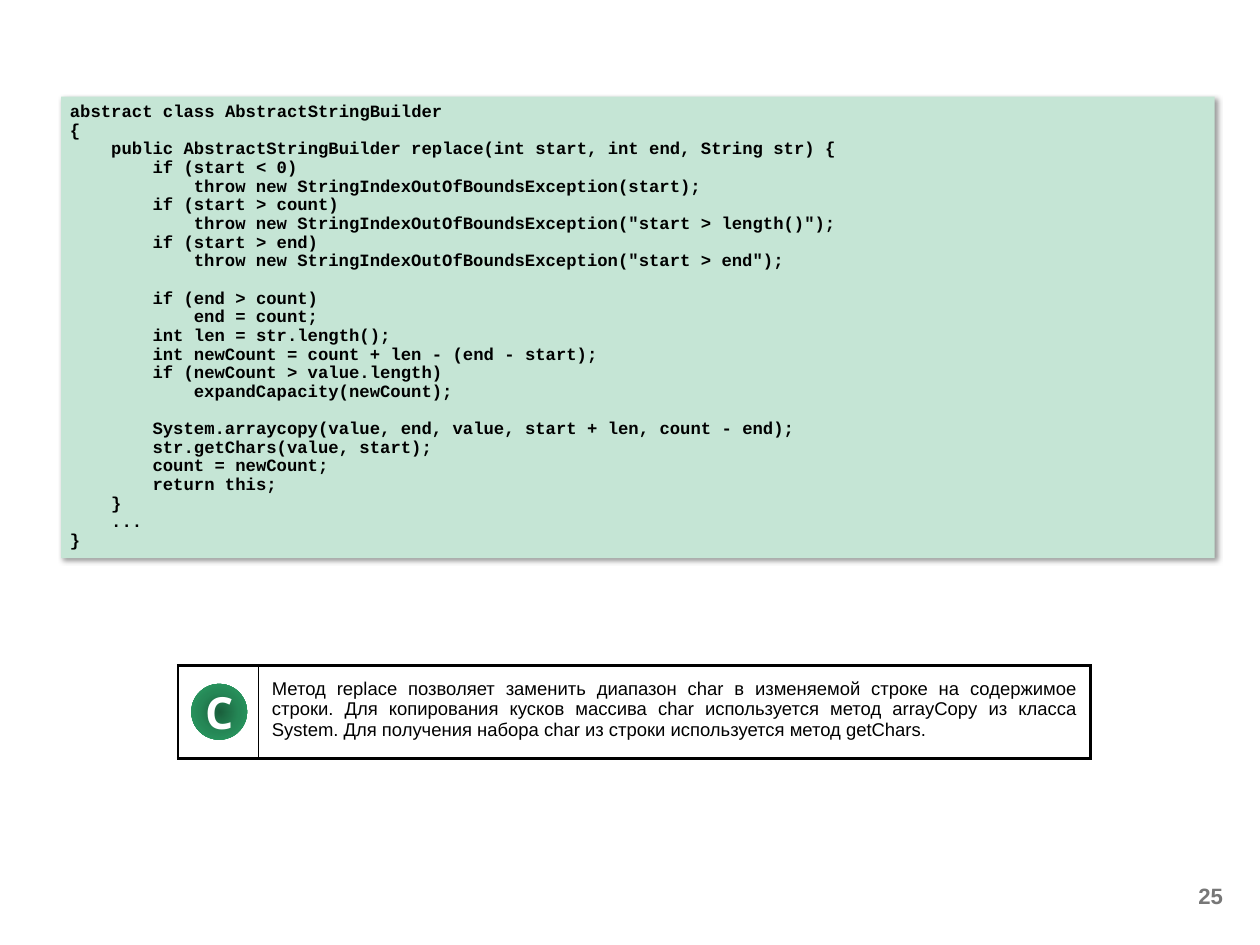
from lxml.etree import SubElement
from pptx import Presentation
from pptx.dml.color import RGBColor
from pptx.enum.shapes import MSO_SHAPE
from pptx.enum.text import MSO_ANCHOR, PP_ALIGN
from pptx.oxml import parse_xml
from pptx.oxml.ns import nsdecls, qn
from pptx.util import Pt

CODE = """abstract class AbstractStringBuilder
{
    public AbstractStringBuilder replace(int start, int end, String str) {
        if (start < 0)
            throw new StringIndexOutOfBoundsException(start);
        if (start > count)
            throw new StringIndexOutOfBoundsException("start > length()");
        if (start > end)
            throw new StringIndexOutOfBoundsException("start > end");

        if (end > count)
            end = count;
        int len = str.length();
        int newCount = count + len - (end - start);
        if (newCount > value.length)
            expandCapacity(newCount);

        System.arraycopy(value, end, value, start + len, count - end);
        str.getChars(value, start);
        count = newCount;
        return this;
    }
    ...
}"""
NOTE = (
    "Метод replace позволяет заменить диапазон char в изменяемой строке на "
    "содержимое строки. Для копирования кусков массива char используется метод "
    "arrayCopy из класса System. Для получения набора char из строки "
    "используется метод getChars."
)
CODE_SIZE = 14
CODE_LINE = 15.16
CHAR_WIDTH = 0.6 * CODE_SIZE
BADGE_STOPS = ((0, "1A5F3C"), (50, "258756"), (100, "2BA166"))


def color(hex_code):
    return RGBColor.from_string(hex_code)


def add_run(paragraph, text, font, size, hex_code="000000", bold=False):
    run = paragraph.add_run()
    run.text = text
    run.font.name = font
    run.font.size = Pt(size)
    run.font.bold = bold
    run.font.color.rgb = color(hex_code)


def set_margins(holder, side, top):
    holder.margin_left = holder.margin_right = Pt(side)
    holder.margin_top = holder.margin_bottom = Pt(top)


def add_plain_shape(slide, kind, left, top, width, height):
    shape = slide.shapes.add_shape(kind, Pt(left), Pt(top), Pt(width), Pt(height))
    shape.shadow.inherit = False
    shape.line.fill.background()
    return shape


def cast_shadow(panel):
    effects = panel._element.spPr.find(qn("a:effectLst"))
    shadow = SubElement(
        effects, qn("a:outerShdw"), blurRad=str(Pt(4)), dist=str(Pt(3)),
        dir=str(45 * 60000), algn="tl", rotWithShape="0")
    black = SubElement(shadow, qn("a:srgbClr"), val="000000")
    SubElement(black, qn("a:alpha"), val="40000")


def add_code_panel(slide, left, top, width, height):
    """Leading spaces become indents, empty lines become space before."""
    panel = add_plain_shape(slide, MSO_SHAPE.RECTANGLE, left, top, width, height)
    panel.fill.solid()
    panel.fill.fore_color.rgb = color("C5E5D5")
    cast_shadow(panel)
    frame = panel.text_frame
    frame.word_wrap = True
    frame.vertical_anchor = MSO_ANCHOR.TOP
    set_margins(frame, 7.2, 4.6)
    gap = 0
    paragraph = frame.paragraphs[0]
    for number, line in enumerate(CODE.splitlines()):
        statement = line.lstrip()
        if not statement:
            gap += CODE_LINE
            continue
        if number:
            paragraph = frame.add_paragraph()
        paragraph.alignment = PP_ALIGN.LEFT
        paragraph.line_spacing = Pt(CODE_LINE)
        paragraph.space_before = Pt(gap)
        indent = Pt(CHAR_WIDTH * (len(line) - len(statement)))
        properties = paragraph._p.get_or_add_pPr()
        properties.set("marL", str(indent))
        properties.set("indent", "0")
        add_run(paragraph, statement, "Courier New", CODE_SIZE, bold=True)
        gap = 0


def set_borders(cell, left, right, top, bottom):
    properties = cell._tc.get_or_add_tcPr()
    widths = {"lnL": left, "lnR": right, "lnT": top, "lnB": bottom}
    for position, (side, width) in enumerate(widths.items()):
        properties.insert(position, parse_xml(
            f'<a:{side} {nsdecls("a")} w="{Pt(width)}"><a:solidFill>'
            f'<a:srgbClr val="000000"/></a:solidFill></a:{side}>'))


def add_badge(slide, left, top, diameter):
    badge = add_plain_shape(slide, MSO_SHAPE.OVAL, left, top, diameter, diameter)
    badge.fill.background()
    stops = "".join(
        f'<a:gs pos="{position * 1000}"><a:srgbClr val="{shade}"/></a:gs>'
        for position, shade in BADGE_STOPS)
    properties = badge._element.spPr
    properties.replace(properties.find(qn("a:noFill")), parse_xml(
        f'<a:gradFill {nsdecls("a")}><a:gsLst>{stops}</a:gsLst><a:path path="circle">'
        '<a:fillToRect l="50000" t="50000" r="50000" b="50000"/></a:path></a:gradFill>'))
    frame = badge.text_frame
    frame.word_wrap = False
    frame.vertical_anchor = MSO_ANCHOR.MIDDLE
    set_margins(frame, 0, 0)
    letter = frame.paragraphs[0]
    letter.alignment = PP_ALIGN.CENTER
    add_run(letter, "C", "Open Sans", 36, "FFFFFF", bold=True)


def add_note(slide, left, top, width, height):
    badge_column, badge_size = 65.5, 45.4
    table = slide.shapes.add_table(
        1, 2, Pt(left), Pt(top), Pt(width), Pt(height)).table
    table.first_row = table.horz_banding = False
    table.columns[0].width = Pt(badge_column)
    table.columns[1].width = Pt(width - badge_column)
    badge_cell, note_cell = table.cell(0, 0), table.cell(0, 1)
    for cell in (badge_cell, note_cell):
        cell.fill.solid()
        cell.fill.fore_color.rgb = color("FFFFFF")
    set_borders(badge_cell, 2.25, 0.5, 2.25, 2.25)
    set_borders(note_cell, 0.5, 2.25, 2.25, 2.25)
    set_margins(note_cell, 10.8, 10.8)
    paragraph = note_cell.text_frame.paragraphs[0]
    paragraph.alignment = PP_ALIGN.JUSTIFY
    add_run(paragraph, NOTE, "Arial", 15)
    add_badge(slide, left + (badge_column - badge_size) / 2 + 0.7,
              top + (height - badge_size) / 2, badge_size)


def add_page_number(slide, left, top, width, height):
    box = slide.shapes.add_textbox(Pt(left), Pt(top), Pt(width), Pt(height))
    frame = box.text_frame
    frame.word_wrap = True
    frame.vertical_anchor = MSO_ANCHOR.MIDDLE
    paragraph = frame.paragraphs[0]
    paragraph.alignment = PP_ALIGN.RIGHT
    add_run(paragraph, "25", "Arial", 18, "777777", bold=True)


def main():
    deck = Presentation()
    deck.slide_width, deck.slide_height = Pt(1024), Pt(768)
    slide = deck.slides.add_slide(deck.slide_layouts[6])
    add_page_number(slide, 762, 709, 239, 38)
    add_code_panel(slide, 49.7, 78.5, 937.4, 375.1)
    add_note(slide, 144.7, 540.7, 741.6, 75.6)
    deck.save("out.pptx")


if __name__ == "__main__":
    main()
